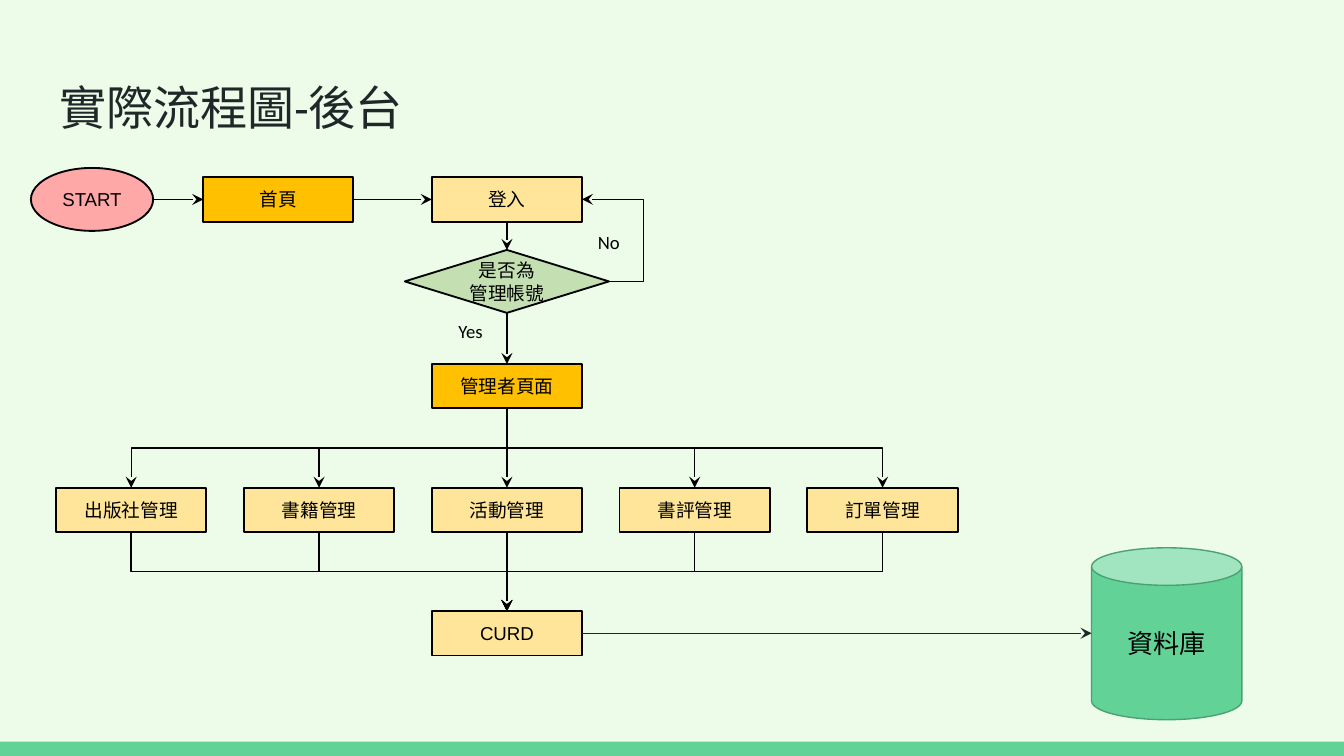
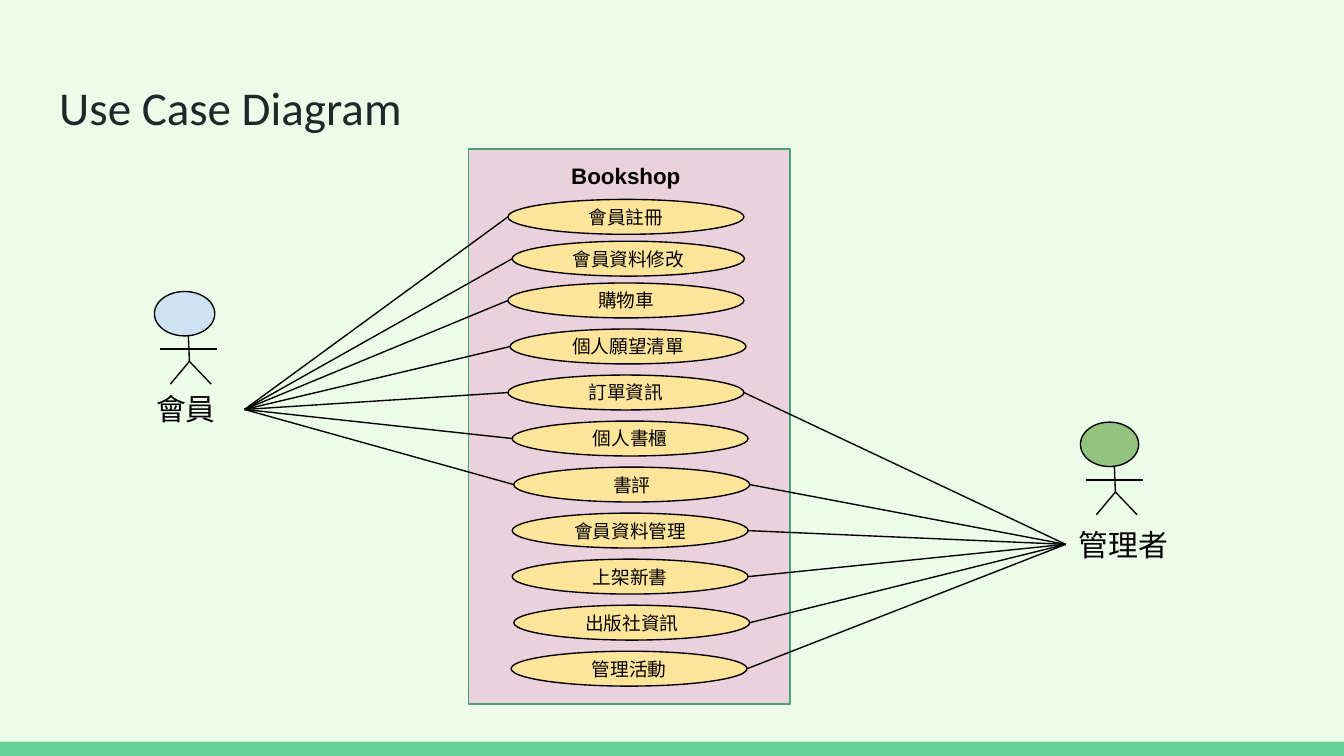
"""Build the back-office flowchart and the bookshop use case diagram."""

from lxml.etree import SubElement
from pptx import Presentation
from pptx.dml.color import RGBColor
from pptx.enum.shapes import MSO_CONNECTOR as LINK, MSO_SHAPE as SHAPE
from pptx.enum.text import MSO_ANCHOR as ANCHOR, PP_ALIGN as ALIGN
from pptx.oxml.ns import qn
from pptx.util import Cm, Pt

WIDTH, HEIGHT = 25.4, 14.29
COLORS = {
    "background": "EDFBE9", "green": "63D297", "dark green": "4BA173",
    "title": "202729", "black": "000000", "start": "FEA8A8",
    "page": "FFC000", "action": "FEE599", "decision": "C4E0B2",
    "system": "EAD1DC", "use case": "FFE599",
    "member": "CFE2F3", "manager": "93C47D",
}

FLOW_TITLE = "實際流程圖-後台"
MAIN_X, COLUMN_STEP = 9.58, 3.55
BOX = (2.84, 0.84)
FLOW_NODES = {
    "start": ("START", SHAPE.OVAL, "start", 1.74, 3.77, 2.31, 1.19),
    "home": ("首頁", SHAPE.FLOWCHART_PROCESS, "page", 5.26, 3.77, *BOX),
    "login": ("登入", SHAPE.FLOWCHART_PROCESS, "action", MAIN_X, 3.77, *BOX),
    "check": ("是否為\n管理帳號", SHAPE.FLOWCHART_DECISION, "decision", MAIN_X, 5.32, 3.86, 1.19),
    "admin": ("管理者頁面", SHAPE.FLOWCHART_PROCESS, "page", MAIN_X, 7.3, *BOX),
    "curd": ("CURD", SHAPE.FLOWCHART_PROCESS, "action", MAIN_X, 11.97, *BOX),
}
MANAGED = ["出版社管理", "書籍管理", "活動管理", "書評管理", "訂單管理"]
MANAGED_Y = 9.64
DATABASE = ("資料庫", 22.05, 11.98, 2.84, 3.25)
ACROSS = [("start", "home"), ("home", "login")]
DOWN = [("login", "check"), ("check", "admin")]
BRANCHES = [("Yes", 7.77, 5.92, 1.6, ALIGN.RIGHT), ("No", 11.05, 4.24, 0.96, ALIGN.LEFT)]
LOOP_REACH = 0.66

CASE_TITLE = "Use Case Diagram"
SYSTEM = ("Bookshop", 8.86, 2.82, 6.07, 10.49)
USE_CASES = [
    ("會員註冊", 9.6, 4.46, ["member"]),
    ("會員資料修改", 9.68, 4.39, ["member"]),
    ("購物車", 9.6, 4.46, ["member"]),
    ("個人願望清單", 9.64, 4.46, ["member"]),
    ("訂單資訊", 9.6, 4.46, ["member", "manager"]),
    ("個人書櫃", 9.68, 4.46, ["member"]),
    ("書評", 9.71, 4.46, ["member", "manager"]),
    ("會員資料管理", 9.68, 4.46, ["manager"]),
    ("上架新書", 9.68, 4.46, ["manager"]),
    ("出版社資訊", 9.71, 4.46, ["manager"]),
    ("管理活動", 9.66, 4.46, ["manager"]),
]
CASE_TOP, CASE_HEIGHT, TIGHT_STEP, WIDE_STEP = 4.1, 0.66, 0.79, 0.87
ACTORS = {
    "member": ("會員", (2.92, 5.51, 1.14), (2.41, 7.14), ALIGN.CENTER, (4.62, 7.74)),
    "manager": ("管理者", (20.42, 7.98, 1.1), (20.14, 9.7), ALIGN.LEFT, (20.14, 10.29)),
}
HEAD_HEIGHT = 0.84
LIMBS = [
    ((0.1, 1.09), (1.19, 1.09)),
    ((0.64, HEAD_HEIGHT), (0.66, 1.32)),
    ((0.66, 1.32), (0.3, 1.75)),
    ((0.66, 1.32), (1.07, 1.75)),
]


def color(name):
    return RGBColor.from_string(COLORS[name])


def write(shape, text, size, font="Arial", ink="black", align=ALIGN.CENTER, bold=False, inset=0.13):
    frame = shape.text_frame
    frame.margin_left = frame.margin_right = Cm(0.25)
    frame.margin_top = frame.margin_bottom = Cm(inset)
    paragraph = frame.paragraphs[0]
    paragraph.text = text
    paragraph.alignment = align
    paragraph.font.size = Pt(size)
    paragraph.font.name = font
    paragraph.font.bold = bold
    paragraph.font.color.rgb = color(ink)
    return frame


def add_text(slide, text, left, top, width, height, size, **style):
    box = slide.shapes.add_textbox(Cm(left), Cm(top), Cm(width), Cm(height))
    write(box, text, size, **style).word_wrap = True


def add_box(shapes, kind, left, top, width, height, fill, line="black", weight=0.75):
    shape = shapes.add_shape(kind, Cm(left), Cm(top), Cm(width), Cm(height))
    shape.shadow.inherit = False
    shape.fill.solid()
    shape.fill.fore_color.rgb = color(fill)
    if line:
        shape.line.color.rgb = color(line)
        shape.line.width = Pt(weight)
    else:
        shape.line.fill.background()
    return shape


def label(shape, text, size=10, inset=0.13):
    frame = write(shape, text, size, inset=inset)
    frame.vertical_anchor = ANCHOR.MIDDLE
    frame.word_wrap = False


def add_line(shapes, start, end, kind=LINK.STRAIGHT, arrow=False, ink="black"):
    line = shapes.add_connector(kind, *(Cm(value) for value in (*start, *end)))
    line.line.color.rgb = color(ink)
    line.line.width = Pt(0.75)
    properties = line.element.spPr
    if arrow:
        SubElement(properties.find(qn("a:ln")), qn("a:tailEnd"), type="stealth")
    SubElement(properties, qn("a:effectLst"))
    return line


def add_drop(shapes, start, end):
    """Draw an arrow that leaves and arrives vertically."""
    (x1, y1), (x2, y2) = start, end
    if x1 == x2:
        add_line(shapes, start, end, arrow=True)
        return
    middle_x, middle_y = (x1 + x2) / 2, (y1 + y2) / 2
    half_length, half_spread = (y2 - y1) / 2, abs(x2 - x1) / 2
    line = add_line(
        shapes,
        (middle_x - half_length, middle_y - half_spread),
        (middle_x + half_length, middle_y + half_spread),
        LINK.ELBOW, arrow=True,
    )
    frame = line.element.spPr.find(qn("a:xfrm"))
    frame.set("rot", str((270 if x2 > x1 else 90) * 60000))
    if x2 > x1:
        frame.set("flipH", "1")


def add_slide(presentation, title):
    slide = presentation.slides.add_slide(presentation.slide_layouts[6])
    slide.background.fill.solid()
    slide.background.fill.fore_color.rgb = color("background")
    add_box(slide.shapes, SHAPE.RECTANGLE, 0, 14.02, WIDTH, 0.27, "green", line=None)
    add_text(slide, title, 0.87, 1.24, 23.67, 1.6, 25.2, font="Calibri",
             ink="title", align=ALIGN.LEFT, inset=0.25)
    return slide


def side(node, dx, dy):
    x, y, width, height = node[-4:]
    return x + dx * width / 2, y + dy * height / 2


def build_flowchart(presentation):
    slide = add_slide(presentation, FLOW_TITLE)
    shapes = slide.shapes
    nodes = FLOW_NODES
    managed = [
        (text, SHAPE.FLOWCHART_PROCESS, "action",
         MAIN_X + (column - len(MANAGED) // 2) * COLUMN_STEP, MANAGED_Y, *BOX)
        for column, text in enumerate(MANAGED)
    ]
    for node in [*nodes.values(), *managed]:
        text, kind, fill, _, _, width, height = node
        label(add_box(shapes, kind, *side(node, -1, -1), width, height, fill, weight=1), text)
    can = add_box(shapes, SHAPE.CAN, *side(DATABASE, -1, -1), *DATABASE[-2:], "green", "dark green")
    label(can, DATABASE[0], 14, inset=0.25)

    for first, second in ACROSS:
        add_line(shapes, side(nodes[first], 1, 0), side(nodes[second], -1, 0), arrow=True)
    for first, second in DOWN:
        add_line(shapes, side(nodes[first], 0, 1), side(nodes[second], 0, -1), arrow=True)
    for node in managed:
        add_drop(shapes, side(nodes["admin"], 0, 1), side(node, 0, -1))
        add_drop(shapes, side(node, 0, 1), side(nodes["curd"], 0, -1))
    curd_right = side(nodes["curd"], 1, 0)
    add_line(shapes, curd_right, (side(DATABASE, -1, 0)[0], curd_right[1]), arrow=True, ink="title")

    start, end = side(nodes["check"], 1, 0), side(nodes["login"], 1, 0)
    loop = add_line(shapes, start, end, LINK.ELBOW, arrow=True)
    bend = round(-LOOP_REACH / (start[0] - end[0]) * 100000)
    guides = loop.element.spPr.find(qn("a:prstGeom")).find(qn("a:avLst"))
    SubElement(guides, qn("a:gd"), name="adj1", fmla=f"val {bend}")
    for text, left, top, width, align in BRANCHES:
        add_text(slide, text, left, top, width, 0.68, 10, font="Calibri", align=align)


def build_use_cases(presentation):
    slide = add_slide(presentation, CASE_TITLE)
    shapes = slide.shapes
    name, left, top, width, height = SYSTEM
    add_box(shapes, SHAPE.RECTANGLE, left, top, width, height, "system", "dark green")
    add_text(slide, name, 10.41, top, 2.84, 1.02, 12, bold=True, inset=0.25)

    for row, (text, left, width, users) in enumerate(USE_CASES):
        middle = CASE_TOP + min(row, 2) * TIGHT_STEP + max(row - 2, 0) * WIDE_STEP
        oval = add_box(shapes, SHAPE.OVAL, left, middle - CASE_HEIGHT / 2, width, CASE_HEIGHT, "use case")
        label(oval, text, inset=0.25)
        for user in users:
            edge = left if user == "member" else left + width
            add_line(shapes, ACTORS[user][-1], (edge, middle))

    for user, (text, (x, y, head), corner, align, _) in ACTORS.items():
        figure = shapes.add_group_shape().shapes
        add_box(figure, SHAPE.OVAL, x, y, head, HEAD_HEIGHT, user)
        for (x1, y1), (x2, y2) in LIMBS:
            add_line(figure, (x + x1, y + y1), (x + x2, y + y2))
        add_text(slide, text, *corner, 2.21, 1.19, 16, align=align, inset=0.25)


def main():
    presentation = Presentation()
    presentation.slide_width, presentation.slide_height = Cm(WIDTH), Cm(HEIGHT)
    build_flowchart(presentation)
    build_use_cases(presentation)
    presentation.save("out.pptx")


if __name__ == "__main__":
    main()
